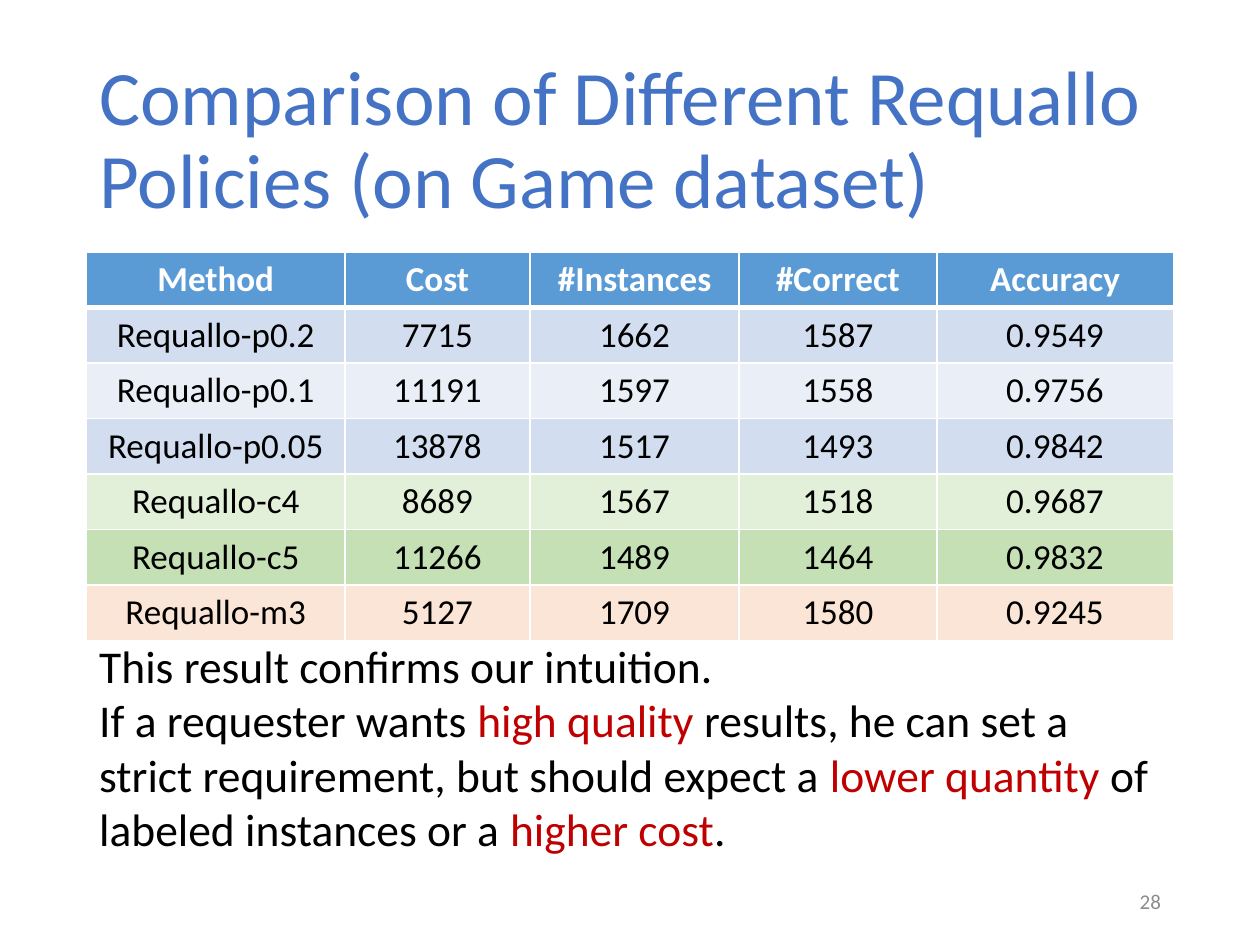
from lxml.etree import SubElement
from pptx import Presentation
from pptx.dml.color import RGBColor
from pptx.enum.text import MSO_ANCHOR as Anchor, MSO_AUTO_SIZE as AutoSize, PP_ALIGN as Align
from pptx.oxml.ns import qn
from pptx.util import Pt

# Content
TITLE = "Comparison of Different Requallo Policies (on Game dataset)"
HEADER = ("Method", "Cost", "#Instances", "#Correct", "Accuracy")
RESULTS = [  # fill name, then cell texts
    ("blue", ("Requallo-p0.2", "7715", "1662", "1587", "0.9549")),
    ("pale blue", ("Requallo-p0.1", "11191", "1597", "1558", "0.9756")),
    ("blue", ("Requallo-p0.05", "13878", "1517", "1493", "0.9842")),
    ("pale green", ("Requallo-c4", "8689", "1567", "1518", "0.9687")),
    ("green", ("Requallo-c5", "11266", "1489", "1464", "0.9832")),
    ("orange", ("Requallo-m3", "5127", "1709", "1580", "0.9245")),
]
CONCLUSION = [  # paragraphs of (text, colour name)
    [("This result confirms our intuition.", "black")],
    [
        ("If a requester wants ", "black"),
        ("high quality ", "red"),
        ("results, he can set a strict requirement, but should expect a ", "black"),
        ("lower quantity ", "red"),
        ("of labeled instances or a ", "black"),
        ("higher cost", "red"),
        (".", "black"),
    ],
]
PAGE_NUMBER = "28"

COLORS = {
    "title": "4472C4", "header": "5B9BD5", "blue": "D2DEEF", "pale blue": "EAEFF7",
    "pale green": "E2F0D9", "green": "C5E0B4", "orange": "FBE5D6",
    "red": "C00000", "black": "000000", "white": "FFFFFF", "gray": "8C8C8C",
}
FONT = "Calibri"
LEFT, WIDTH = 49.5, 621
COLUMN_WIDTHS = (147.6, 105.8, 119.5, 113, 135.1)
ROW_HEIGHT = 29.6


def color(name):
    return RGBColor.from_string(COLORS[name])


def add_span(para, text, size, color_name, bold=False):
    span = para.add_run()
    span.text = text
    span.font.name = FONT
    span.font.size = Pt(size)
    span.font.bold = bold
    span.font.color.rgb = color(color_name)


def place(box, left, top, width, height, anchor):
    box.left, box.top, box.width, box.height = map(Pt, (left, top, width, height))
    frame = box.text_frame
    frame.word_wrap = True
    frame.auto_size = AutoSize.NONE
    frame.vertical_anchor = anchor
    return frame


def set_borders(cell, bottom_width):
    properties = cell._tc.get_or_add_tcPr()
    sides = [("a:lnL", 1), ("a:lnR", 1), ("a:lnT", 1), ("a:lnB", bottom_width)]
    for index, (tag, width) in enumerate(sides):
        line = SubElement(properties, qn(tag), w=str(Pt(width)))
        fill = SubElement(line, qn("a:solidFill"))
        SubElement(fill, qn("a:srgbClr"), val=COLORS["white"])
        properties.insert(index, line)


deck = Presentation()
deck.slide_width, deck.slide_height = Pt(720), Pt(540)
page = deck.slides.add_slide(deck.slide_layouts[1])
title, body = page.placeholders

# Title
para = place(title, LEFT, 28.8, WIDTH, 104.4, Anchor.MIDDLE).paragraphs[0]
para.alignment = Align.LEFT
para.line_spacing = 0.9
add_span(para, TITLE, 44, "title")

# Results table
rows = [("header", HEADER)] + RESULTS
table = page.shapes.add_table(
    len(rows), len(HEADER), Pt(LEFT), Pt(144), Pt(WIDTH), Pt(ROW_HEIGHT * len(rows))
).table
for column, width in zip(table.columns, COLUMN_WIDTHS):
    column.width = Pt(width)
for row, (fill_name, texts) in zip(table.rows, rows):
    row.height = Pt(ROW_HEIGHT)
    is_header = fill_name == "header"
    for cell, text in zip(row.cells, texts):
        cell.fill.solid()
        cell.fill.fore_color.rgb = color(fill_name)
        set_borders(cell, 3 if is_header else 1)
        para = cell.text_frame.paragraphs[0]
        para.alignment = Align.CENTER
        add_span(para, text, 20, "white" if is_header else "black", is_header)

# Conclusion
frame = place(body, LEFT, 360.7, WIDTH, 133.2, Anchor.TOP)
for index, spans in enumerate(CONCLUSION):
    para = frame.add_paragraph() if index else frame.paragraphs[0]
    para.space_before = Pt(0)
    properties = para._p.get_or_add_pPr()
    properties.set("marL", "0")
    properties.set("indent", "0")
    SubElement(properties, qn("a:buNone"))
    for text, color_name in spans:
        add_span(para, text, 26, color_name)

# Page number
box = page.shapes.add_textbox(0, 0, 0, 0)
para = place(box, 508.5, 500.4, 162, 28.8, Anchor.MIDDLE).paragraphs[0]
para.alignment = Align.RIGHT
add_span(para, PAGE_NUMBER, 12, "gray")

deck.save("out.pptx")
